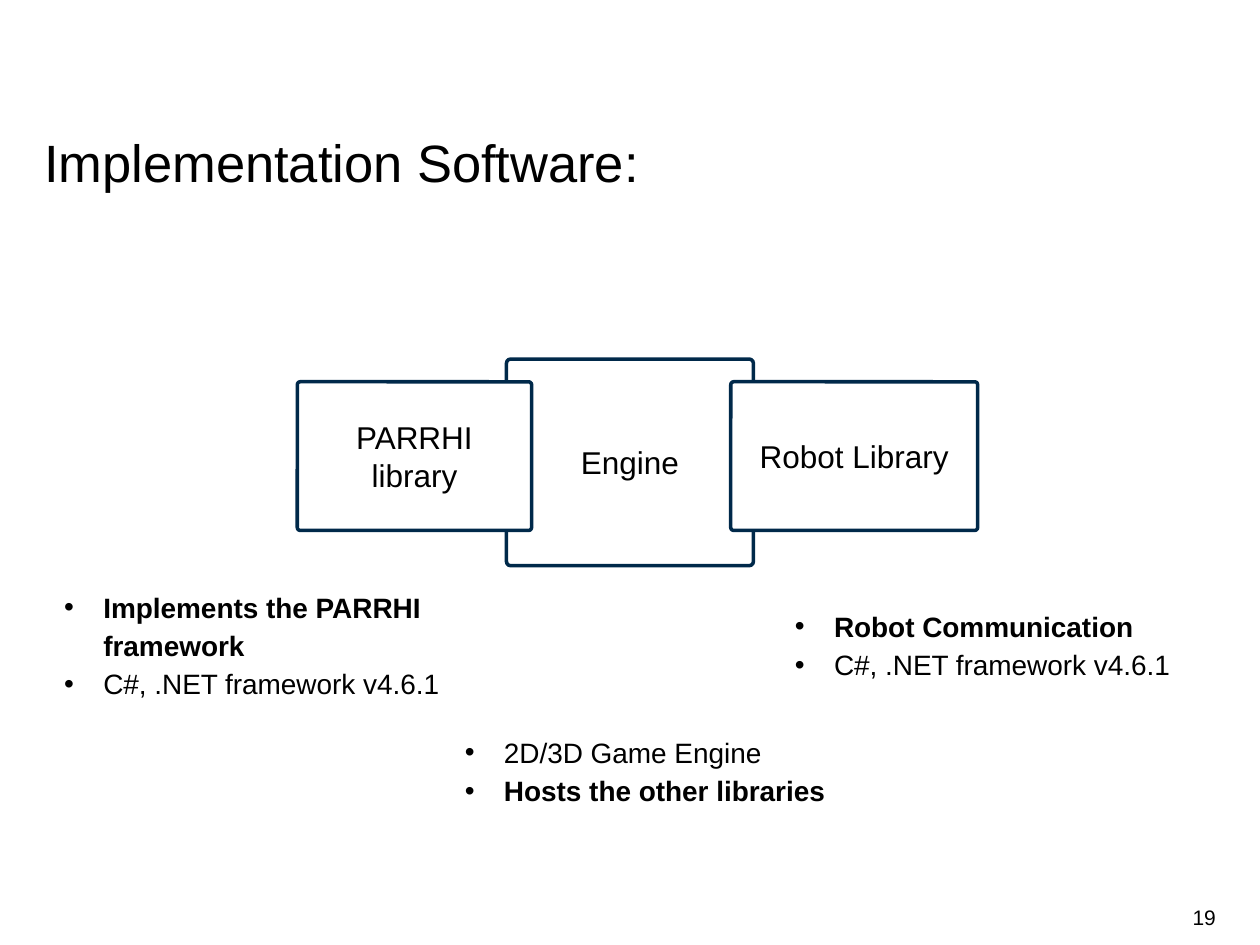
from dataclasses import dataclass

from lxml.etree import SubElement
from pptx import Presentation
from pptx.dml.color import RGBColor
from pptx.enum.shapes import MSO_SHAPE as Shape
from pptx.enum.text import MSO_ANCHOR as Anchor, PP_ALIGN as Align
from pptx.oxml.ns import qn
from pptx.util import Inches, Pt


@dataclass(frozen=True)
class Theme:
    font: str = "Arial"
    ink: RGBColor = RGBColor(0, 0, 0)
    paper: RGBColor = RGBColor(255, 255, 255)
    border: RGBColor = RGBColor(0x00, 0x29, 0x4A)
    title: int = 30
    label: int = 18
    bullet: int = 16
    number: int = 12


THEME = Theme()
TITLE = ("Implementation Software:", (0.35, 1.09, 9.31, 0.45))
PAGE_NUMBER = ("19", (7.41, 7.08, 2.24, 0.4))

COMPONENTS = [
    ("Engine", (4.02, 2.85, 1.96, 1.64)),
    ("PARRHI library", (2.36, 3.03, 1.86, 1.18)),
    ("Robot Library", (5.8, 3.03, 1.96, 1.18)),
]

NOTES = [
    ((0.51, 4.65, 3.18, 0.9),
     [("Implements the PARRHI framework", True), ("C#, .NET framework v4.6.1", False)]),
    ((6.31, 4.8, 3.34, 0.59),
     [("Robot Communication", True), ("C#, .NET framework v4.6.1", False)]),
    ((3.69, 5.8, 3.34, 0.59),
     [("2D/3D Game Engine", False), ("Hosts the other libraries", True)]),
]


def write(para, text, size, bold=False, align=Align.LEFT):
    para.text = text
    para.alignment = align
    font = para.font
    font.name, font.size, font.bold = THEME.font, Pt(size), bold
    font.color.rgb = THEME.ink


def add_text_frame(page, place):
    box = page.shapes.add_textbox(*map(Inches, place))
    frame = box.text_frame
    frame.word_wrap = True
    frame.margin_left = frame.margin_right = 0
    frame.margin_top = frame.margin_bottom = 0
    return frame


def add_component(page, label, place):
    box = page.shapes.add_shape(Shape.ROUNDED_RECTANGLE, *map(Inches, place))
    box.adjustments[0] = 0.02
    box.shadow.inherit = False
    box.fill.solid()
    box.fill.fore_color.rgb = THEME.paper
    box.line.color.rgb = THEME.border
    box.line.width = Pt(2)
    frame = box.text_frame
    frame.word_wrap = True
    frame.vertical_anchor = Anchor.MIDDLE
    write(frame.paragraphs[0], label, THEME.label, align=Align.CENTER)


def add_bullet(para):
    para.line_spacing = 1.14
    props = para._p.get_or_add_pPr()
    props.set("marL", str(Inches(0.31)))
    props.set("indent", str(Inches(-0.31)))
    SubElement(props, qn("a:buFont")).set("typeface", THEME.font)
    SubElement(props, qn("a:buChar")).set("char", "•")


def add_notes(page, place, items):
    frame = add_text_frame(page, place)
    for index, (text, bold) in enumerate(items):
        para = frame.add_paragraph() if index else frame.paragraphs[0]
        write(para, text, THEME.bullet, bold)
        para.line_spacing = 1.14
        add_bullet(para)


def main():
    deck = Presentation()
    deck.slide_width, deck.slide_height = Inches(10), Inches(7.5)
    page = deck.slides.add_slide(deck.slide_layouts[6])

    text, place = TITLE
    para = add_text_frame(page, place).paragraphs[0]
    write(para, text, THEME.title)
    para.line_spacing = Pt(32)

    for label, place in COMPONENTS:
        add_component(page, label, place)
    for place, items in NOTES:
        add_notes(page, place, items)

    text, place = PAGE_NUMBER
    frame = add_text_frame(page, place)
    frame.vertical_anchor = Anchor.MIDDLE
    write(frame.paragraphs[0], text, THEME.number, align=Align.RIGHT)

    deck.save("out.pptx")


if __name__ == "__main__":
    main()
